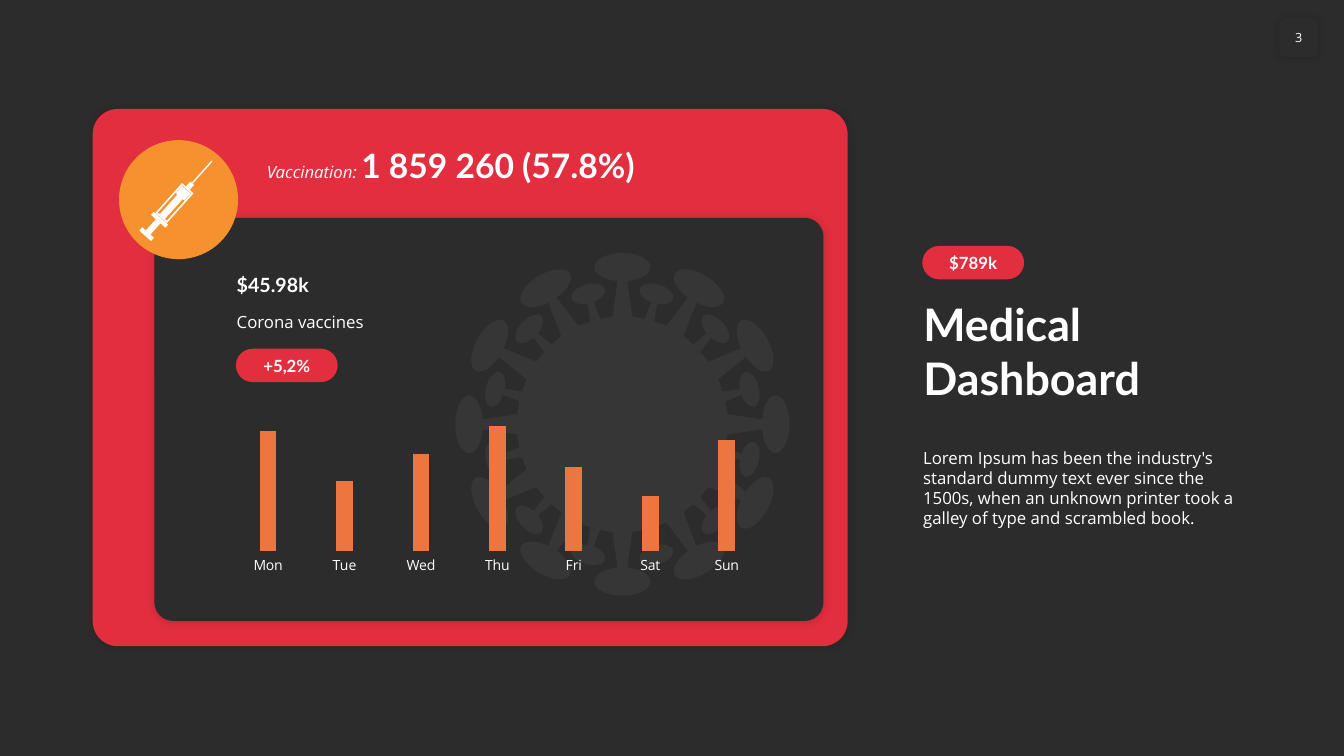
from math import cos, radians, sin

from lxml import etree
from pptx import Presentation
from pptx.chart.data import CategoryChartData
from pptx.dml.color import RGBColor
from pptx.enum.chart import XL_CHART_TYPE, XL_TICK_MARK
from pptx.enum.shapes import MSO_SHAPE
from pptx.enum.text import MSO_ANCHOR, MSO_AUTO_SIZE, PP_ALIGN
from pptx.oxml import parse_xml
from pptx.oxml.ns import nsdecls, qn
from pptx.util import Pt

ROUNDED, OVAL = MSO_SHAPE.ROUNDED_RECTANGLE, MSO_SHAPE.OVAL
TOP, MIDDLE, BOTTOM = MSO_ANCHOR.TOP, MSO_ANCHOR.MIDDLE, MSO_ANCHOR.BOTTOM
LEFT, CENTER = PP_ALIGN.LEFT, PP_ALIGN.CENTER
NO_AUTOFIT = MSO_AUTO_SIZE.NONE
COLUMNS, NO_TICK = XL_CHART_TYPE.COLUMN_CLUSTERED, XL_TICK_MARK.NONE

COLORS = {"dark": "2C2C2C", "red": "E22E3F", "amber": "F5922F",
          "bar": "ED753F", "white": "FFFFFF"}
HEADING = {"name": "Lato", "bold": True, "italic": False}
BODY = {"name": "Open Sans", "bold": False, "italic": False}

SYRINGE_PROFILES = [
    [(50.8, 0.5), (71.6, 0.5)],
    [(45.7, 1.8), (50.4, 1.8)],
    [(17.3, 5.5), (45.7, 5.5)],
    [(18.4, 4.4), (44.6, 4.4)],
    [(18.7, 2.5), (37.4, 2.5), (37.4, 4), (44.1, 4)],
    [(0, 5.6), (3.2, 5.6), (3.2, 2.2), (13.7, 2.2)],
    [(14, 6.9), (16.9, 6.9)],
]
LARGE_SPIKE = {"base": 7.2, "reach": 112.3, "half_width": 20.5, "half_height": 10.1}
SMALL_SPIKE = {"base": 3.6, "reach": 96.5, "half_width": 12.6, "half_height": 6.8}


def color(name):
    return RGBColor.from_string(COLORS[name])


def format_font(font, style, size):
    for key, value in {**style, "size": Pt(size)}.items():
        setattr(font, key, value)
    font.color.rgb = color("white")


def write_text(shape, runs, anchor=TOP, align=LEFT, insets=(7.2, 3.6), wrap=True):
    frame = shape.text_frame
    side, end = map(Pt, insets)
    settings = {"word_wrap": wrap, "auto_size": NO_AUTOFIT, "vertical_anchor": anchor,
                "margin_left": side, "margin_right": side,
                "margin_top": end, "margin_bottom": end}
    for key, value in settings.items():
        setattr(frame, key, value)
    paragraph = frame.paragraphs[0]
    paragraph.alignment = align
    for text, style, size in runs:
        run = paragraph.add_run()
        run.text = text
        format_font(run.font, style, size)


def add_text(slide, box, runs, anchor=TOP):
    shape = slide.shapes.add_textbox(*map(Pt, box))
    write_text(shape, runs, anchor)


def paint(shape, fill):
    shape.shadow.inherit = False
    shape.fill.solid()
    shape.fill.fore_color.rgb = color(fill)
    shape.line.fill.background()


def add_block(slide, kind, box, fill, rounding=None):
    shape = slide.shapes.add_shape(kind, *map(Pt, box))
    paint(shape, fill)
    if rounding is not None:
        shape.adjustments[0] = rounding
    return shape


def add_shadow(shape, opacity, blur, distance):
    effects = shape._element.spPr.find(qn("a:effectLst"))
    effects.append(parse_xml(
        f'<a:outerShdw {nsdecls("a")} blurRad="{Pt(blur)}" dist="{Pt(distance)}" '
        f'dir="2700000" algn="tl" rotWithShape="0"><a:srgbClr val="000000">'
        f'<a:alpha val="{opacity * 1000}"/></a:srgbClr></a:outerShdw>'))


def add_card(slide, box):
    add_shadow(add_block(slide, ROUNDED, box, "red" if box[2] > 500 else "dark", 0.047), 15, 6, 1)


def add_pill(slide, left, top, text):
    pill = add_block(slide, ROUNDED, (left, top, 72.7, 23.8), "red", 0.5)
    write_text(pill, [(text, HEADING, 12)], MIDDLE, CENTER, (0, 0))


def add_outline(slide, contours):
    contours = [[(Pt(x), Pt(y)) for x, y in contour] for contour in contours]
    builder = slide.shapes.build_freeform(*contours[0][0], scale=1.0)
    for index, contour in enumerate(contours):
        if index:
            builder.move_to(*contour[0])
        builder.add_line_segments(contour[1:], close=True)
    shape = builder.convert_to_shape()
    paint(shape, "white")
    return shape


def add_syringe(slide, box):
    left, top, width, height = box
    add_block(slide, OVAL, box, "amber")
    start_x, start_y = left + 0.22 * width, top + 0.805 * height
    along_x, along_y = cos(radians(48.2)), -sin(radians(48.2))
    contours = []
    for profile in SYRINGE_PROFILES:
        mirrored = [(along, -half) for along, half in reversed(profile)]
        contours.append([(start_x + along * along_x - across * along_y,
                          start_y + along * along_y + across * along_x)
                         for along, across in profile + mirrored])
    add_outline(slide, contours)


def add_virus(slide, center_x, center_y):
    outline = []
    for step in range(24):
        spike = SMALL_SPIKE if step % 2 else LARGE_SPIKE
        angle = radians(15 * step)
        knob = [(spike["half_width"] * cos(radians(turn)),
                 spike["reach"] + spike["half_height"] * sin(radians(turn)))
                for turn in range(260, -81, -10)]
        for across, outward in [(-spike["base"], 77), *knob, (spike["base"], 77)]:
            x = outward * sin(angle) + across * cos(angle)
            y = across * sin(angle) - outward * cos(angle)
            outline.append((center_x + 0.975 * x, center_y + y))
    shape = add_outline(slide, [outline])
    tint = shape._element.spPr.find(qn("a:solidFill"))[0]
    etree.SubElement(tint, qn("a:alpha")).set("val", "5000")


def add_weekday_chart(slide, box):
    data = CategoryChartData()
    data.categories = ["Mon", "Tue", "Wed", "Thu", "Fri", "Sat", "Sun"]
    data.add_series("Series 1", (96, 56, 78, 100, 67, 44, 89))
    chart = slide.shapes.add_chart(COLUMNS, *map(Pt, box), data).chart
    chart.has_legend = chart.has_title = False
    format_font(chart.font, BODY, 12)
    days, values = chart.category_axis, chart.value_axis
    days.major_tick_mark = NO_TICK
    days.format.line.fill.background()
    format_font(days.tick_labels.font, BODY, 10)
    values.visible = values.has_major_gridlines = False
    values.minimum_scale, values.maximum_scale = 0, 100
    plot = chart.plots[0]
    plot.gap_width, plot.overlap, plot.vary_by_categories = 360, -30, False
    fill = plot.series[0].format.fill
    fill.solid()
    fill.fore_color.rgb = color("bar")
    area = chart._chartSpace.chart.plotArea
    for layout in area.findall(qn("c:layout")):
        area.remove(layout)
    places = {"layoutTarget": "inner", "xMode": "edge", "yMode": "edge",
              "x": 0.02, "y": 0.1, "w": 0.96, "h": 0.74}
    parts = "".join(f'<c:{key} val="{value}"/>' for key, value in places.items())
    area.insert(0, parse_xml(f'<c:layout {nsdecls("c")}><c:manualLayout>{parts}'
                             '</c:manualLayout></c:layout>'))


def add_dashboard(slide, box):
    left, top, width, height = box
    add_card(slide, box)
    add_card(slide, (left + 44, top + 77.8, 478, 288))
    add_text(slide, (left + 117.4, top + 22.3, 376, 36),
             [("Vaccination: ", BODY, 12), ("1 859 260 (57.8%)", HEADING, 24)])
    label = slide.shapes[-1].text_frame.paragraphs[0].runs[0]
    label.font.italic = True
    add_syringe(slide, (left + 18.8, top + 22.3, 85, 85))
    add_text(slide, (left + 95.8, top + 113, 361, 24.5), [("$45.98k", HEADING, 14)], BOTTOM)
    add_text(slide, (left + 95.8, top + 141, 361, 21.6), [("Corona vaccines", BODY, 12)])
    add_pill(slide, left + 102.3, top + 171.3, "+5,2%")
    add_virus(slide, left + 378.4, top + 225.3)
    add_weekday_chart(slide, (left + 90, top + 214.5, 398.2, 121))


def add_summary(slide, box):
    left, top, width, height = box
    add_pill(slide, left + 6.5, top, "$789k")
    title = slide.shapes.title
    places = {"left": left, "top": top + 31.7, "width": width, "height": 85}
    for key, value in places.items():
        setattr(title, key, Pt(value))
    write_text(title, [("Medical Dashboard", HEADING, 32)], BOTTOM)
    add_text(slide, (left, top + 140.4, width, 65.5),
             [("Lorem Ipsum has been the industry's standard dummy text ever since the "
               "1500s, when an unknown printer took a galley of type and scrambled book.",
               BODY, 12)])


def add_page_number(slide, box):
    badge = add_block(slide, ROUNDED, box, "dark")
    add_shadow(badge, 20, 5, 0)
    write_text(badge, [("3", BODY, 9)], MIDDLE, CENTER, (0, 3.6), False)


def main():
    presentation = Presentation()
    presentation.slide_width, presentation.slide_height = Pt(960), Pt(540)
    slide = presentation.slides.add_slide(presentation.slide_layouts[5])
    slide.background.fill.solid()
    slide.background.fill.fore_color.rgb = color("dark")
    add_dashboard(slide, (66.2, 77.8, 539.3, 383.8))
    add_page_number(slide, (913.7, 13, 28, 28))
    add_summary(slide, (652.3, 175.7, 242, 206))
    presentation.save("out.pptx")


if __name__ == "__main__":
    main()
